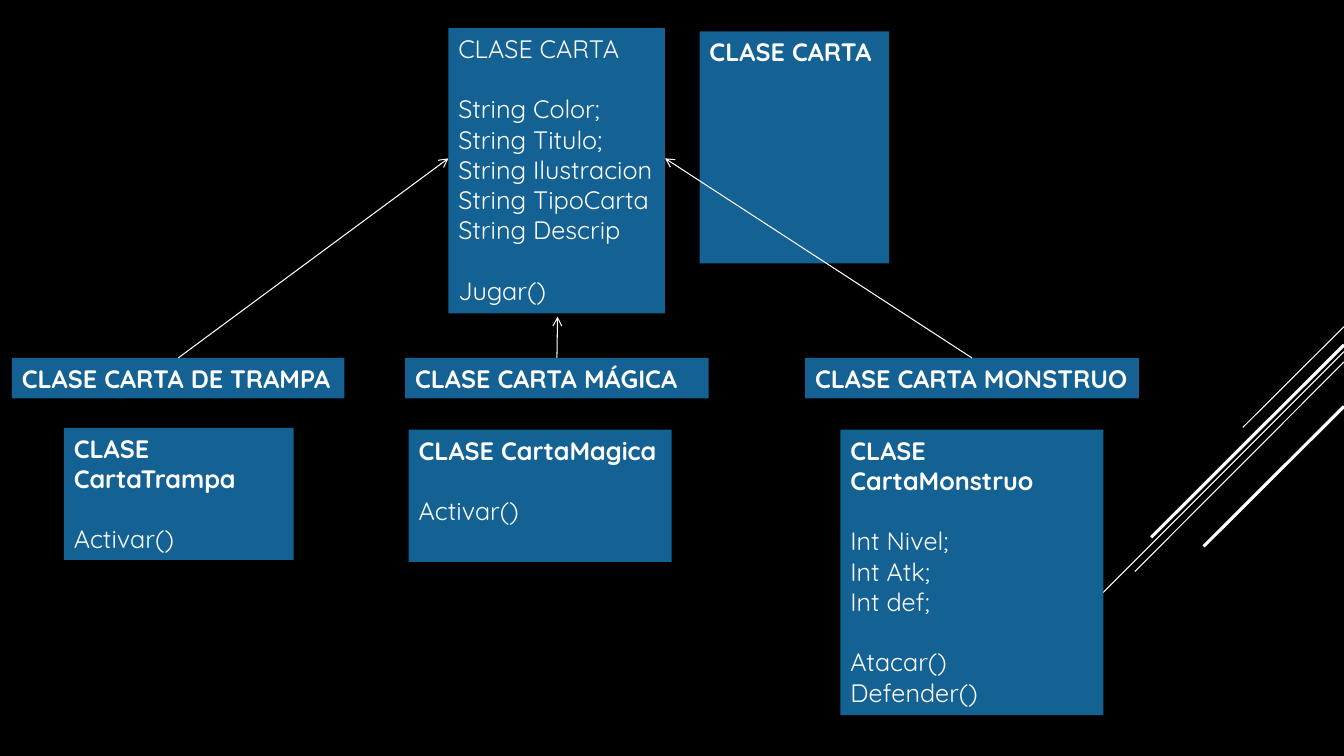
from lxml.etree import SubElement
from pptx import Presentation
from pptx.dml.color import RGBColor
from pptx.enum.shapes import MSO_CONNECTOR
from pptx.enum.text import MSO_ANCHOR, MSO_AUTO_SIZE, PP_ALIGN
from pptx.oxml.ns import qn
from pptx.util import Cm, Pt

BLUE = "146194"
WHITE = "FFFFFF"
BLACK = "000000"
LINE_HEIGHT = Pt(21.6)
LABEL_TOP = 9.02
LABEL_HEIGHT = 1.02
FRAME_FORMAT = {
    "auto_size": MSO_AUTO_SIZE.SHAPE_TO_FIT_TEXT,
    "vertical_anchor": MSO_ANCHOR.TOP,
    "margin_left": Cm(0.25),
    "margin_right": Cm(0.25),
    "margin_top": Cm(0.13),
    "margin_bottom": Cm(0.13),
}
FONT_FORMAT = {"name": "Quicksand", "size": Pt(18)}

RAYS = [
    (8.23, 31.32, 10.77, 0.75),
    (8.86, 25.58, 17.15, 0.75),
    (9.12, 28.6, 14.4, 0.75),
    (8.69, 29.01, 13.54, 2.25),
    (10.24, 30.33, 13.77, 2.25),
]
SUBCLASSES = [
    ("CLASE CARTA DE TRAMPA", 0.3, 8.38, (11.3, 3.99)),
    ("CLASE CARTA MÁGICA", 10.21, 7.65, (14.05, 7.98)),
    ("CLASE CARTA MONSTRUO", 20.29, 8.41, (16.76, 3.99)),
]
CLASSES = [
    ((11.3, 0.71, 5.46, 7.19), False, [
        ["CLASE CARTA"],
        ["String Color;", "String Titulo;", "String Ilustracion",
         "String TipoCarta", "String Descrip"],
        ["Jugar()"],
    ]),
    ((1.61, 10.78, 5.79, 3.33), True, [["CLASE CartaTrampa"], ["Activar()"]]),
    ((10.3, 10.83, 6.63, 3.33), True, [["CLASE CartaMagica"], ["Activar()"]]),
    ((21.18, 10.83, 6.63, 7.19), True, [
        ["CLASE CartaMonstruo"],
        ["Int Nivel;", "Int Atk;", "Int def;"],
        ["Atacar()", "Defender()"],
    ]),
]


def rgb(hex_colour):
    return RGBColor.from_string(hex_colour)


def apply_format(target, values):
    for attribute, value in values.items():
        setattr(target, attribute, value)


def write_line(paragraph, text, bold, gap):
    apply_format(paragraph, {"alignment": PP_ALIGN.LEFT, "space_before": gap})
    run = paragraph.add_run()
    run.text = text
    apply_format(run.font, FONT_FORMAT | {"bold": bold})
    run.font.color.rgb = rgb(WHITE)


def fill_box(box, groups, bold_heading, wrap):
    """Write groups of lines, one line height apart, in a blue box."""
    box.fill.solid()
    box.fill.fore_color.rgb = rgb(BLUE)
    frame = box.text_frame
    apply_format(frame, FRAME_FORMAT | {"word_wrap": wrap})
    for group_index, group in enumerate(groups):
        for line_index, text in enumerate(group):
            heading = group_index == 0
            paragraph = frame.paragraphs[0] if heading else frame.add_paragraph()
            gap = LINE_HEIGHT if line_index == 0 and not heading else Pt(0)
            write_line(paragraph, text, bold_heading and heading, gap)


def add_box(slide, place, groups, bold_heading, wrap):
    box = slide.shapes.add_textbox(*map(Cm, place))
    fill_box(box, groups, bold_heading, wrap)
    return box


def add_line(slide, start, end, width=0.75):
    line = slide.shapes.add_connector(MSO_CONNECTOR.STRAIGHT, *map(Cm, start + end))
    line.line.color.rgb = rgb(WHITE)
    line.line.width = Pt(width)
    SubElement(line._element.spPr, qn("a:effectLst"))
    return line


def add_inheritance(slide, label, start, end):
    arrow = add_line(slide, start, end)
    arrow.begin_connect(label, 0)
    SubElement(arrow.line._get_or_add_ln(), qn("a:tailEnd"), type="arrow")


def place_title(slide):
    title = slide.shapes.title
    place = {"left": 17.63, "top": 0.79, "width": 4.78, "height": LABEL_HEIGHT}
    apply_format(title, {side: Cm(length) for side, length in place.items()})
    fill_box(title, [["CLASE CARTA"]], True, False)


def main():
    presentation = Presentation()
    apply_format(presentation, {"slide_width": Cm(33.87), "slide_height": Cm(19.05)})
    slide = presentation.slides.add_slide(presentation.slide_layouts[5])
    slide.background.fill.solid()
    slide.background.fill.fore_color.rgb = rgb(BLACK)

    for edge_top, foot_left, foot_top, width in RAYS:
        add_line(slide, (33.87, edge_top), (foot_left, foot_top), width)
    place_title(slide)
    for name, left, width, target in SUBCLASSES:
        place = (left, LABEL_TOP, width, LABEL_HEIGHT)
        label = add_box(slide, place, [[name]], True, False)
        add_inheritance(slide, label, (left + width / 2, LABEL_TOP), target)
    for place, bold_heading, groups in CLASSES:
        add_box(slide, place, groups, bold_heading, True)
    presentation.save("out.pptx")


if __name__ == "__main__":
    main()
